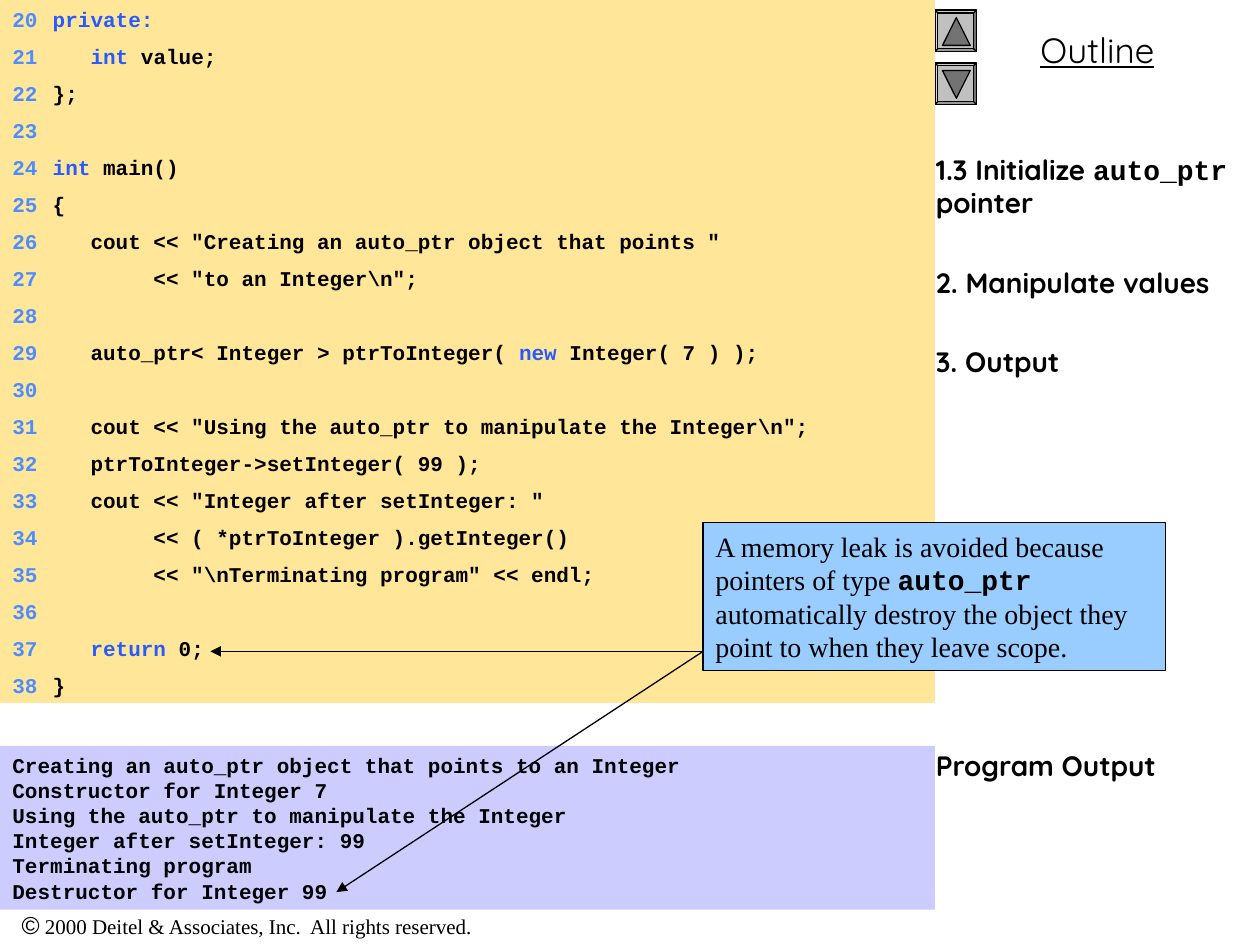
"""Build the slide on auto_ptr: numbered code, outline, program output and callout."""
import pptx
import pptx.util
import pptx.dml.color
import pptx.enum.shapes
import pptx.enum.text
import pptx.oxml.ns
import lxml.etree

inch, pt = pptx.util.Inches, pptx.util.Pt
kinds = pptx.enum.shapes.MSO_SHAPE
align = pptx.enum.text.PP_ALIGN
anchor = pptx.enum.text.MSO_ANCHOR
qn = pptx.oxml.ns.qn
hue = {name: pptx.dml.color.RGBColor.from_string(code) for name, code in {
    "black": "000000", "code": "FFE699", "number": "4D8DFF", "key": "275AFF",
    "output": "CCCCFF", "note": "99CCFF", "button": "C0C0C0", "arrow": "737373",
}.items()}
mono, serif, sans = "Courier New", "Times New Roman", "Quicksand"
wide, tall = 10, 7.5
split = 7.42
row = 5.58 / 19


def block(kind, left, top, width, height, fill, line=None):
    """Add a filled shape with plain, left-aligned text settings."""
    shape = slide.shapes.add_shape(kind, inch(left), inch(top), inch(width), inch(height))
    shape.shadow.inherit = False
    shape.fill.solid()
    shape.fill.fore_color.rgb = hue[fill]
    if line:
        shape.line.color.rgb = hue[line]
        shape.line.width = pt(0.75)
    else:
        shape.line.fill.background()
    shape.text_frame.word_wrap = True
    shape.text_frame.vertical_anchor = anchor.TOP
    return shape


def write(para, text, styles, side=align.LEFT):
    """Fill a paragraph with the parts between backticks, one style each."""
    para.alignment = side
    for part, (face, size, bold, tint) in zip(text.split("`"), styles):
        if part:
            run = para.add_run()
            run.text = part
            run.font.name, run.font.size, run.font.bold = face, pt(size), bold
            run.font.color.rgb = hue[tint]


deck = pptx.Presentation()
deck.slide_width, deck.slide_height = inch(wide), inch(tall)
slide = deck.slides.add_slide(deck.slide_layouts[5])

title = slide.shapes.title
title.left, title.top = inch(split), inch(0.17)
title.width, title.height = inch(wide - split), inch(0.44)
title.text_frame.vertical_anchor = anchor.MIDDLE
write(title.text_frame.paragraphs[0], "Outline", [(sans, 20, False, "black")], align.CENTER)
title.text_frame.paragraphs[0].runs[0].font.underline = True

foot = slide.shapes.add_textbox(0, inch(7.17), inch(3.92), inch(0.34))
foot.text_frame.word_wrap = True
write(foot.text_frame.paragraphs[0], "©` 2000 Deitel & Associates, Inc.  All rights reserved.",
      [("Arial", 14, False, "black"), (serif, 12, False, "black")], align.CENTER)

for top, turn in ((0.08, 0), (0.5, 180)):
    bevel = block(kinds.BEVEL, split, top, 0.33, 0.33, "button", "black")
    bevel.adjustments[0] = 0.07
    arrow = block(kinds.ISOSCELES_TRIANGLE, split + 0.06, top + 0.06, 0.22, 0.22, "arrow", "black")
    arrow.rotation = turn

steps = slide.shapes.add_textbox(inch(7.33), inch(0.83), inch(2.67), inch(6.67))
steps.text_frame.word_wrap = True
steps.text_frame.margin_top = inch(0.38)
items = [("1.3 Initialize `auto_ptr `pointer", 0), ("2. Manipulate values", 26),
         ("3. Output", 26), ("Program Output", 212)]
for num, (text, gap) in enumerate(items):
    para = steps.text_frame.add_paragraph() if num else steps.text_frame.paragraphs[0]
    para.space_before = pt(gap)
    write(para, text, [(face, 16, True, "black") for face in (sans, mono, sans)])

code = r'''
`private:`
   `int` value;
};

`int` main()
{
   cout << "Creating an auto_ptr object that points "
        << "to an Integer\n";

   auto_ptr< Integer > ptrToInteger( `new` Integer( 7 ) );

   cout << "Using the auto_ptr to manipulate the Integer\n";
   ptrToInteger->setInteger( 99 );
   cout << "Integer after setInteger: "
        << ( *ptrToInteger ).getInteger()
        << "\nTerminating program" << endl;

   `return` 0;
}
'''
styles = [(mono, 12, True, tint) for tint in ("number", "black", "key", "black")]
for num, text in enumerate(code.strip("\n").split("\n")):
    strip = block(kinds.RECTANGLE, 0, num * row, split, row, "code")
    para = strip.text_frame.paragraphs[0]
    tabs = lxml.etree.SubElement(para._p.get_or_add_pPr(), qn("a:tabLst"))
    for stop, side in ((0, "l"), (0.15, "r"), (0.32, "l")):
        lxml.etree.SubElement(tabs, qn("a:tab"), pos=str(inch(stop)), algn=side)
    write(para, f"\t{num + 20}\t`{text}", styles)

result = block(kinds.RECTANGLE, 0, 5.92, split, 1.3, "output")
result.text_frame.text = """Creating an auto_ptr object that points to an Integer
Constructor for Integer 7
Using the auto_ptr to manipulate the Integer
Integer after setInteger: 99
Terminating program
Destructor for Integer 99"""
for para in result.text_frame.paragraphs:
    para.alignment = align.LEFT
    font = para.runs[0].font
    font.name, font.size, font.bold = mono, pt(12), True
    font.color.rgb = hue["black"]

note = block(kinds.RECTANGLE, 5.58, 4.15, 3.67, 1.17, "note", "black")
write(note.text_frame.paragraphs[0],
      "A memory leak is avoided because pointers of type `auto_ptr`"
      " automatically destroy the object they point to when they leave scope.",
      [(face, 16, face == mono, "black") for face in (serif, mono, serif)])

for left, top in ((1.67, 5.17), (2.67, 7.08)):
    link = slide.shapes.add_connector(pptx.enum.shapes.MSO_CONNECTOR.STRAIGHT,
                                      inch(5.58), inch(5.17), inch(left), inch(top))
    link.line.color.rgb = hue["black"]
    link.line.width = pt(0.75)
    lxml.etree.SubElement(link.line._get_or_add_ln(), qn("a:tailEnd"), type="triangle")
    lxml.etree.SubElement(link._element.spPr, qn("a:effectLst"))

deck.save("out.pptx")
